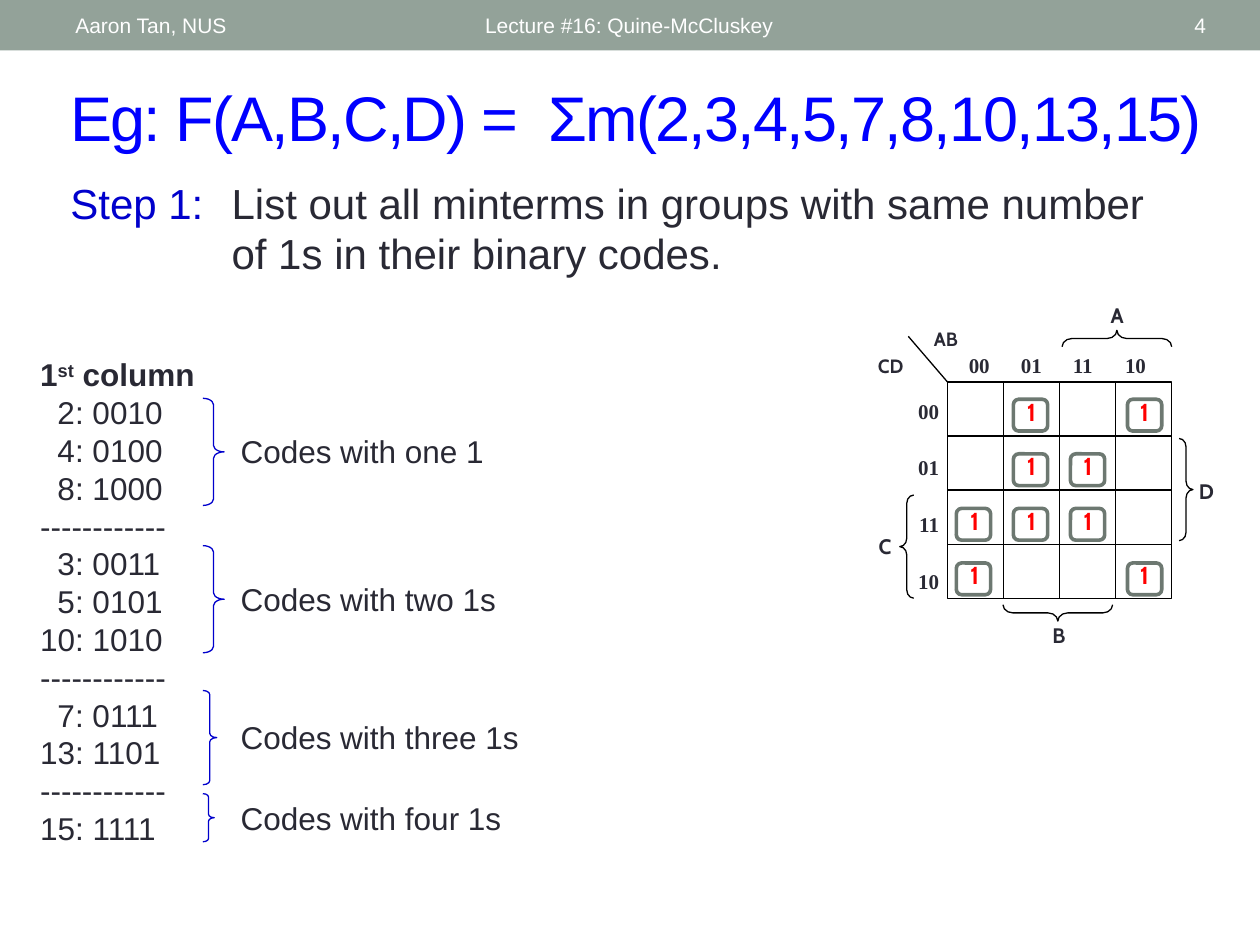
from pptx import Presentation
from pptx import util as u
from pptx.dml.color import RGBColor
from pptx.enum import shapes, text
from pptx.oxml.ns import qn
from lxml import etree

Cm, Pt = u.Cm, u.Pt
SH, AL, MID = shapes.MSO_SHAPE, text.PP_ALIGN, text.MSO_ANCHOR.MIDDLE
theme = dict(
    bar="93A299", white="FFFFFF", ink="292934", title="0000FF", step="0000CC",
    one="FF0000", ring="6D7871", black="000000",
    head=12, big=36, body=24, list=18, mark=14, label=12, axis=11,
    sans="Arial", map="Cabin", serif="Times New Roman")

deck = Presentation()
deck.slide_width, deck.slide_height = Cm(25.4), Cm(19.05)
slide = deck.slides.add_slide(deck.slide_layouts[6])


def write(box, lines, size, color="ink", face="sans", bold=False, align=AL.LEFT, anchor=None, after=None):
    area = slide.shapes.add_textbox(*map(Cm, box)).text_frame
    area.word_wrap = True
    if anchor is not None:
        area.vertical_anchor = anchor
    for i, line in enumerate(lines):
        para = area.paragraphs[0] if i == 0 else area.add_paragraph()
        para.alignment = align
        if after:
            para.space_after = Pt(after)
        for part in [line] if isinstance(line, str) else line:
            run = para.add_run()
            run.text = part
            form = dict(size=Pt(theme[size]), name=theme[face], bold=bold)
            for key, val in form.items():
                setattr(run.font, key, val)
            run.font.color.rgb = RGBColor.from_string(theme[color])
    return area


def draw(kind, box, color, width=0.75, turn=0, bend=None):
    shape = slide.shapes.add_shape(kind, *map(Cm, box))
    shape.shadow.inherit = False
    shape.fill.background()
    shape.line.color.rgb = RGBColor.from_string(theme[color])
    shape.line.width = Pt(width)
    shape.rotation = turn
    if bend is not None:
        shape.adjustments[0] = bend
    return shape


bar = draw(SH.RECTANGLE, (0, 0, 25.4, 1.02), "bar")
bar.fill.solid()
bar.fill.fore_color.rgb = RGBColor.from_string(theme["bar"])
bar.line.fill.background()
for left, wide, word, side in [
        (1.27, 8.05, "Aaron Tan, NUS", AL.LEFT),
        (9.53, 11.43, "Lecture #16: Quine-McCluskey", AL.LEFT),
        (22.15, 2.41, "4", AL.RIGHT)]:
    write((left, 0.05, wide, 0.91), [word], "head", "white", align=side, anchor=MID)

title = write((1.17, 1.45, 23.39, 1.78), ["Eg: F(A,B,C,D) =  Σm(2,3,4,5,7,8,10,13,15)"],
              "big", "title", anchor=MID)
title.paragraphs[0].runs[0].font._element.set("spc", "-100")

step = write((1.17, 3.45, 22.28, 2.34), [(
    "Step 1:", "\tList out all minterms in groups with same number of 1s in their binary codes.")],
    "body").paragraphs[0]
step.space_before = Pt(4.8)
step.runs[0].font.color.rgb = RGBColor.from_string(theme["step"])
hang = Cm(3.25)
heads = write((19.28, 6.99, 4.22, 0.89), ["00\t01\t11\t10"], "label", face="serif", bold=True).paragraphs[0]
for para, stops in [(step, [hang]), (heads, [Cm(1.05 * n) for n in (1, 2, 3)])]:
    tabs = etree.SubElement(para._p.get_or_add_pPr(), qn("a:tabLst"))
    for stop in stops:
        etree.SubElement(tabs, qn("a:tab"), pos=str(int(stop)), algn="l")
step._p.pPr.set("marL", str(int(hang)))
step._p.pPr.set("indent", str(-int(hang)))

groups = [(2, 4, 8), (3, 5, 10), (7, 13), (15,)]
rows = [("1", "st", " column")]
for n, group in enumerate(groups):
    rows += ["-" * 12] * (n > 0) + [f"{term}: {term:04b}" for term in group]
codes = write((0.56, 7.04, 3.81, 10.26), rows, "list").paragraphs
for run in codes[0].runs:
    run.font.bold = True
codes[0].runs[1].font._element.set("baseline", "30000")
for para in codes[1:]:
    if para.text[1] == ":":
        para._p.get_or_add_pPr().set("marL", str(int(Cm(0.35))))

for word, top, wide, high, down in [
        ("one 1", 8.03, 0.43, 2.16, 8.59), ("two 1s", 11, 0.43, 2.16, 11.56),
        ("three 1s", 13.92, 0.28, 1.9, 14.35), ("four 1s", 16, 0.23, 0.97, 15.98)]:
    draw(SH.RIGHT_BRACE, (4.09, top, wide, high), "step", bend=0.3)
    write((4.6, down, 6.35, 1.02), ["Codes with " + word], "list")

x, y, dx, dy = 19.1, 7.7, 1.13, 1.09
right, low = x + 4 * dx, y + 4 * dy
draw(SH.RECTANGLE, (x, y, 4 * dx, 4 * dy), "black")
lines = [(x, y + n * dy, right, y + n * dy) for n in (1, 2, 3)]
lines += [(x + n * dx, y, x + n * dx, low) for n in (1, 2, 3)]
lines.append((x, y, 18.31, 6.78))
for ends in lines:
    line = slide.shapes.add_connector(shapes.MSO_CONNECTOR.STRAIGHT, *map(Cm, ends))
    line.line.color.rgb = RGBColor.from_string(theme["black"])
    line.line.width = Pt(0.75)
    etree.SubElement(line._element.spPr, qn("a:effectLst"))

write((18.19, 7.9, 0.99, 4.55), ["00", "01", "11", "10"], "label", face="serif", bold=True,
      align=AL.RIGHT, after=18)
for word, left, top, wide, size in [
        ("A", 22.1, 5.97, 0.84, "label"), ("B", 20.93, 12.42, 0.84, "label"),
        ("C", 17.42, 10.64, 0.84, "label"), ("D", 23.9, 9.52, 0.84, "label"),
        ("AB", 18.42, 6.48, 1.3, "axis"), ("CD", 17.17, 7.01, 1.57, "axis")]:
    write((left, top, wide, 0.8), [word], size, face="map", bold=True, align=AL.CENTER)
for kind, box, turn in [
        (SH.LEFT_BRACE, (18.14, 9.98, 0.28, 2.08), 0),
        (SH.RIGHT_BRACE, (23.77, 8.84, 0.28, 2.06), 0),
        (SH.LEFT_BRACE, (22.35, 5.72, 0.33, 2.21), 90),
        (SH.LEFT_BRACE, (21.16, 11.25, 0.33, 2.21), 270)]:
    draw(kind, box, "black", turn=turn, bend=0.6)

for row, cols in enumerate([(1, 3), (1, 2), (0, 1, 2), (0, 3)]):
    for col in cols:
        write((19.08 + 1.14 * col, 7.87 + 1.1 * row, 1.14, 0.89), ["1"], "mark", "one", "map",
              True, AL.CENTER)
        draw(SH.ROUNDED_RECTANGLE, (19.28 + 1.15 * col, 8.05 + 1.1 * row, 0.69, 0.64), "ring", 2.08)

deck.save("out.pptx")
